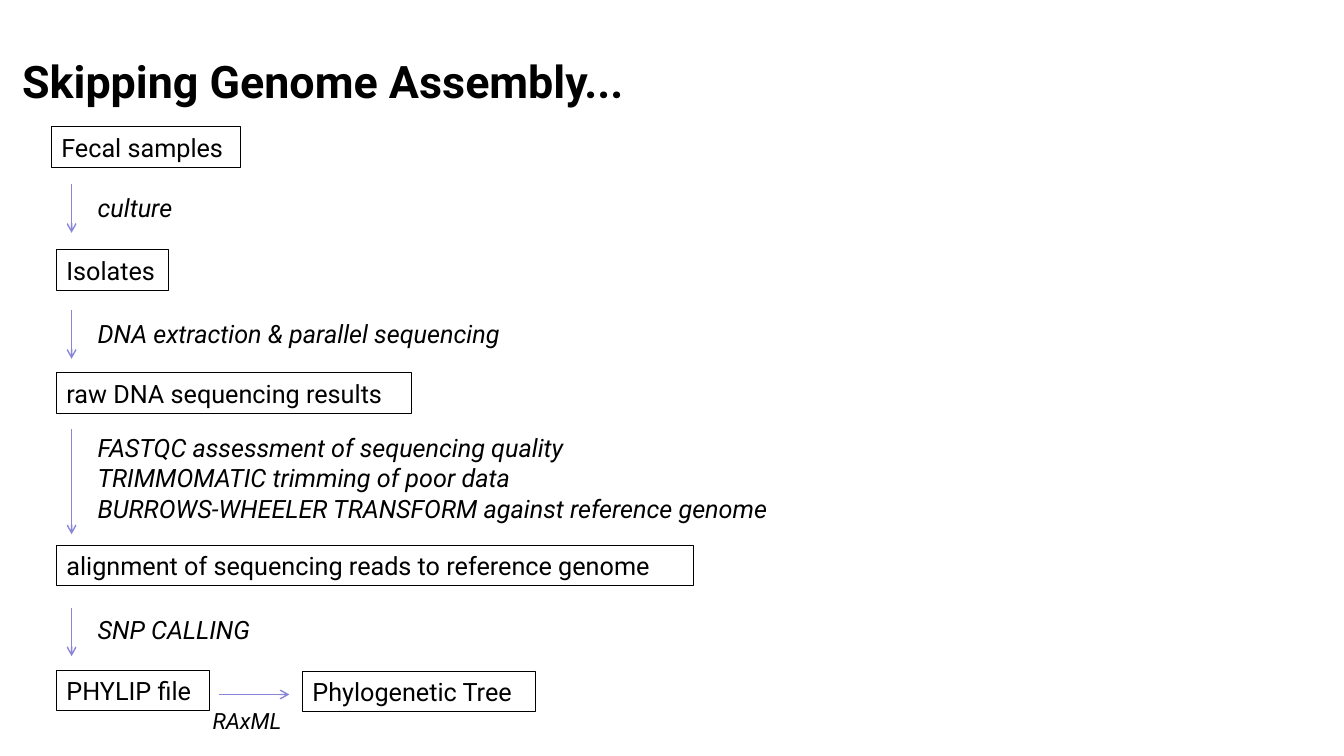
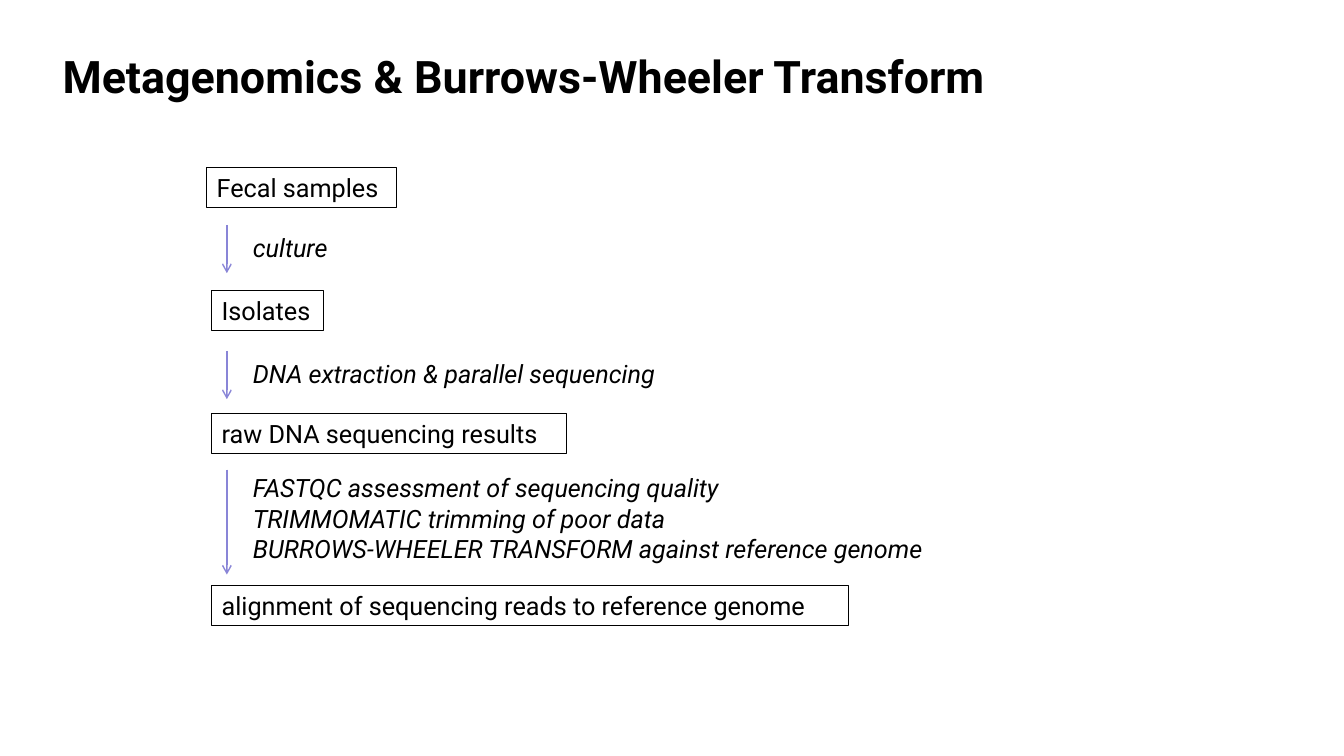
from dataclasses import dataclass

from lxml.etree import SubElement
from pptx import Presentation
from pptx.dml.color import RGBColor
from pptx.enum.shapes import MSO_CONNECTOR as Link, MSO_SHAPE as Shape
from pptx.enum.text import MSO_ANCHOR as Anchor, MSO_AUTO_SIZE as Fit, PP_ALIGN as Align
from pptx.oxml.ns import qn
from pptx.util import Inches, Pt


@dataclass(frozen=True)
class Theme:
    font: str = "Roboto"
    ink: RGBColor = RGBColor(0x00, 0x00, 0x00)
    arrow: RGBColor = RGBColor(0x89, 0x85, 0xD7)
    title: int = 32
    body: int = 18
    small: int = 16
    edge: float = 0.75
    stem: float = 1


THEME = Theme()

# Lengths in inches; x and y are measured from the corner of the flow.
BOX_H = 0.4
LINE_H = 0.3
ARROW_X = 0.2
NOTE_X = 0.36

# text, x, y, width
STAGES = [
    ("Fecal samples", 0, 0, 1.88),
    ("Isolates", 0.05, 1.22, 1.11),
    ("raw DNA sequencing results", 0.05, 2.44, 3.52),
    ("alignment of sequencing reads to reference genome", 0.05, 4.15, 6.32),
    ("PHYLIP file", 0.05, 5.39, 1.52),
]

# lines, arrow top, arrow length, note top, note width
STEPS = [
    (["culture"], 0.57, 0.48, 0.6, 1),
    (["DNA extraction & parallel sequencing"], 1.82, 0.48, 1.85, 4.55),
    (["FASTQC assessment of sequencing quality",
      "TRIMMOMATIC trimming of poor data",
      "BURROWS-WHEELER TRANSFORM against reference genome"],
     3, 1.04, 2.98, 7.63),
    (["SNP CALLING"], 4.77, 0.48, 4.79, 1.88),
]

# title, title frame, flow corner, number of stages
SLIDES = [
    ("Skipping Genome Assembly...", (0.12, 0.48, 9.37, 1.68), (0.51, 1.26), 5),
    ("Metagenomics & Burrows-Wheeler Transform", (0.52, 0.43, 10.76, 1.39),
     (2.05, 1.66), 4),
]


def inches(*sizes):
    return [Inches(size) for size in sizes]


def write(shape, lines, size, bold=False, italic=False):
    frame = shape.text_frame
    frame.word_wrap = True
    frame.auto_size = Fit.NONE
    frame.vertical_anchor = Anchor.TOP
    for i, line in enumerate(lines):
        para = frame.add_paragraph() if i else frame.paragraphs[0]
        para.alignment = Align.LEFT
        run = para.add_run()
        run.text = line
        font = run.font
        font.name, font.size = THEME.font, Pt(size)
        font.bold, font.italic = bold, italic
        font.color.rgb = THEME.ink


def add_box(slide, text, x, y, width):
    box = slide.shapes.add_shape(Shape.RECTANGLE, *inches(x, y, width, BOX_H))
    box.shadow.inherit = False
    box.fill.background()
    box.line.color.rgb = THEME.ink
    box.line.width = Pt(THEME.edge)
    write(box, [text], THEME.body)


def add_note(slide, lines, x, y, width, size=THEME.body):
    height = 0.1 + LINE_H * len(lines)
    note = slide.shapes.add_textbox(*inches(x, y, width, height))
    write(note, lines, size, italic=True)


def add_arrow(slide, x, y, dx=0, dy=0):
    arrow = slide.shapes.add_connector(
        Link.STRAIGHT, *inches(x, y, x + dx, y + dy))
    arrow.line.color.rgb = THEME.arrow
    arrow.line.width = Pt(THEME.stem)
    props = arrow.line._get_or_add_ln()
    SubElement(props, qn("a:tailEnd"), type="arrow")
    SubElement(arrow._element.spPr, qn("a:effectLst"))


def add_slide(deck, title, frame):
    slide = deck.slides.add_slide(deck.slide_layouts[5])
    head = slide.shapes.title
    head.left, head.top, head.width, head.height = inches(*frame)
    write(head, [title], THEME.title, bold=True)
    return slide


def add_flow(slide, left, top, count):
    """Draw the first stages, with a step between each two."""
    for text, x, y, width in STAGES[:count]:
        add_box(slide, text, left + x, top + y, width)
    for lines, start, length, y, width in STEPS[:count - 1]:
        add_arrow(slide, left + ARROW_X, top + start, dy=length)
        add_note(slide, lines, left + NOTE_X, top + y, width)


def add_tree(slide):
    """Draw the last step, to the right of the file."""
    add_arrow(slide, 2.17, 6.89, dx=0.7)
    add_box(slide, "Phylogenetic Tree", 3, 6.66, 2.31)
    add_note(slide, ["RAxML"], 2.01, 6.97, 0.96, THEME.small)


def main():
    deck = Presentation()
    deck.slide_width, deck.slide_height = inches(13.33, 7.5)
    for title, frame, corner, count in SLIDES:
        slide = add_slide(deck, title, frame)
        add_flow(slide, *corner, count)
        if count == len(STAGES):
            add_tree(slide)
    deck.save("out.pptx")


if __name__ == "__main__":
    main()
